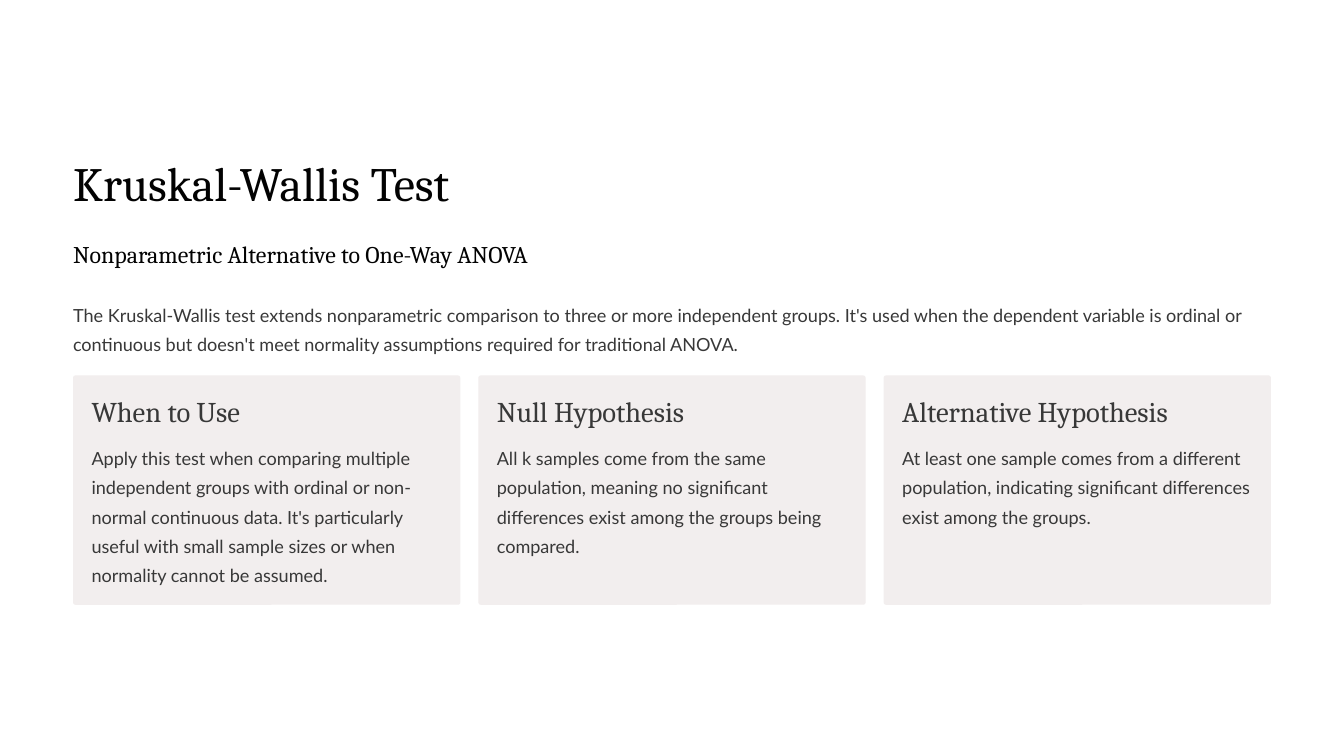
from dataclasses import dataclass

from pptx import Presentation
from pptx import util as u
from pptx.dml.color import RGBColor
from pptx.enum import shapes, text
from pptx.slide import Slide

WHITE = RGBColor(0xFF, 0xFF, 0xFF)
BLACK = RGBColor(0x02, 0x02, 0x02)
GRAY = RGBColor(0x38, 0x38, 0x38)
CARD_FILL = RGBColor(0xF2, 0xEE, 0xEE)

HEADING_FONT = "Cambria"
BODY_FONT = "Lato"

MARGIN = 0.87
CONTENT_WIDTH = 14.26
CARD_TOP, CARD_WIDTH, CARD_HEIGHT = 4.47, 4.61, 2.73
CARD_PADDING = 0.22


@dataclass(frozen=True)
class Card:
    heading: str
    body: str


CARDS = [
    Card("When to Use",
         "Apply this test when comparing multiple independent groups with ordinal or "
         "non-normal continuous data. It's particularly useful with small sample sizes "
         "or when normality cannot be assumed."),
    Card("Null Hypothesis",
         "All k samples come from the same population, meaning no significant "
         "differences exist among the groups being compared."),
    Card("Alternative Hypothesis",
         "At least one sample comes from a different population, indicating "
         "significant differences exist among the groups."),
]


def add_text(slide: Slide, words: str, left: float, top: float, width: float,
             height: float, *, size: float = 15.5, leading: float = 25,
             font: str = BODY_FONT, color: RGBColor = GRAY, wrap: bool = True) -> None:
    box = slide.shapes.add_textbox(u.Inches(left), u.Inches(top),
                                   u.Inches(width), u.Inches(height))
    frame = box.text_frame
    frame.margin_left = frame.margin_right = 0
    frame.margin_top = frame.margin_bottom = 0
    frame.word_wrap = wrap
    frame.vertical_anchor = text.MSO_ANCHOR.TOP
    para = frame.paragraphs[0]
    para.alignment = text.PP_ALIGN.LEFT
    para.line_spacing = u.Pt(leading)
    span = para.add_run()
    span.text = words
    span.font.name = font
    span.font.size = u.Pt(size)
    span.font.color.rgb = color


def add_card(slide: Slide, card: Card, left: float) -> None:
    panel = slide.shapes.add_shape(
        shapes.MSO_SHAPE.ROUNDED_RECTANGLE, u.Inches(left), u.Inches(CARD_TOP),
        u.Inches(CARD_WIDTH), u.Inches(CARD_HEIGHT))
    panel.adjustments[0] = 0.01
    panel.shadow.inherit = False
    panel.fill.solid()
    panel.fill.fore_color.rgb = CARD_FILL
    panel.line.fill.background()

    text_left = left + CARD_PADDING
    text_width = CARD_WIDTH - 2 * CARD_PADDING
    add_text(slide, card.heading, text_left, 4.68, 3.45, 0.43,
             size=24.5, leading=30.5, font=HEADING_FONT, wrap=False)
    add_text(slide, card.body, text_left, 5.24, text_width, 1.74)


def main() -> None:
    deck = Presentation()
    deck.slide_width, deck.slide_height = u.Inches(16), u.Inches(9)
    slide = deck.slides.add_slide(deck.slide_layouts[6])
    slide.background.fill.solid()
    slide.background.fill.fore_color.rgb = WHITE

    add_text(slide, "Kruskal-Wallis Test", MARGIN, 1.81, 5.7, 0.71,
             size=41, leading=51, font=HEADING_FONT, color=BLACK, wrap=False)
    add_text(slide, "Nonparametric Alternative to One-Way ANOVA", MARGIN, 2.84, 6, 0.36,
             size=20.5, leading=25.5, font=HEADING_FONT, color=BLACK, wrap=False)
    add_text(slide,
             "The Kruskal-Wallis test extends nonparametric comparison to three or more "
             "independent groups. It's used when the dependent variable is ordinal or "
             "continuous but doesn't meet normality assumptions required for "
             "traditional ANOVA.",
             MARGIN, 3.53, CONTENT_WIDTH, 0.69)

    pitch = (CONTENT_WIDTH - CARD_WIDTH) / (len(CARDS) - 1)
    for column, card in enumerate(CARDS):
        add_card(slide, card, MARGIN + column * pitch)

    deck.save("out.pptx")


if __name__ == "__main__":
    main()
